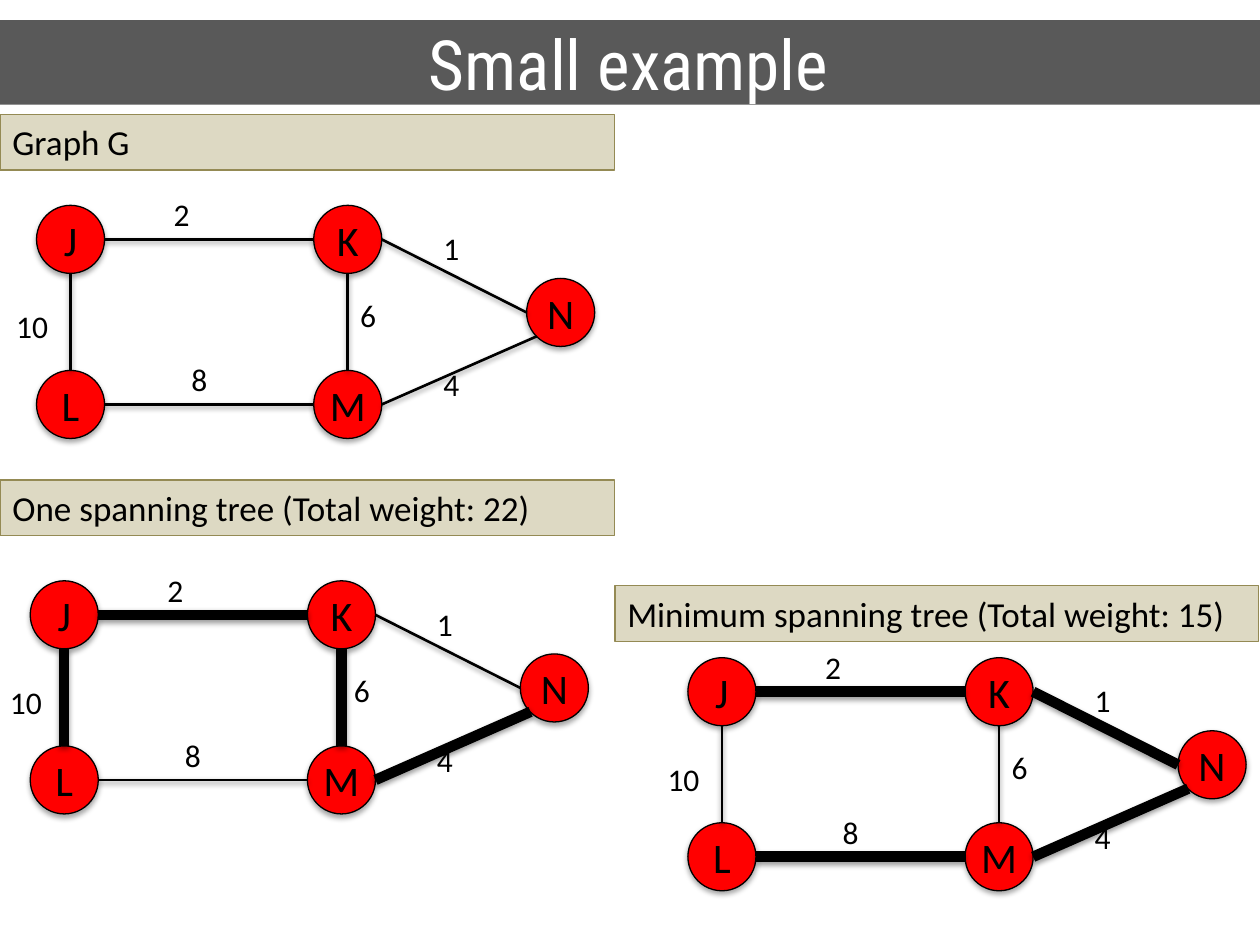
from pptx import Presentation
from pptx.dml.color import RGBColor
from pptx.enum import shapes, text
from pptx.oxml import parse_xml
from pptx.oxml.ns import nsdecls
from pptx.util import Inches, Pt

BLACK = RGBColor(0x00, 0x00, 0x00)
WHITE = RGBColor(0xFF, 0xFF, 0xFF)
GREY = RGBColor(0x59, 0x59, 0x59)
RED = RGBColor(0xFF, 0x00, 0x00)
TAN = RGBColor(0xDD, 0xD9, 0xC3)
OLIVE = RGBColor(0x94, 0x8A, 0x54)

NODE_SIZE = 0.54
# Positions are relative to the top left corner of node J.
NODES = {"M": (2.2, 1.31), "K": (2.2, 0), "L": (0, 1.31), "J": (0, 0), "N": (3.89, 0.58)}
# Points on a node, as fractions of its size.
SIDES = {"top": (0.5, 0), "left": (0, 0.5), "bottom": (0.5, 1), "right": (1, 0.5),
         "lower left": (0.15, 0.85)}
# Edge: start node and side, end node and side.
EDGES = {
    "JK": ("J", "right", "K", "left"),
    "KM": ("K", "bottom", "M", "top"),
    "ML": ("M", "left", "L", "right"),
    "LJ": ("L", "top", "J", "bottom"),
    "NK": ("N", "left", "K", "right"),
    "MN": ("M", "right", "N", "lower left"),
}
# Weight: left, top, width.
WEIGHTS = {
    "2": (0.99, -0.13, 0.33),
    "10": (-0.26, 0.76, 0.46),
    "8": (1.13, 1.18, 0.33),
    "6": (2.47, 0.67, 0.33),
    "4": (3.13, 1.22, 0.33),
    "1": (3.13, 0.14, 0.33),
}


def add_shadow(shape, opacity, distance):
    """Add a soft shadow below; call after fill and line are set."""
    shape._element.spPr.append(parse_xml(
        f'<a:effectLst {nsdecls("a")}><a:outerShdw blurRad="{Pt(3.1)}" dist="{Pt(distance)}" '
        f'dir="5400000" rotWithShape="0"><a:srgbClr val="{BLACK}">'
        f'<a:alpha val="{opacity * 1000}"/></a:srgbClr></a:outerShdw></a:effectLst>'))


class GraphSlide:
    font = "Calibri"
    title_font = "Roboto Condensed"

    def __init__(self, presentation):
        self.slide = presentation.slides.add_slide(presentation.slide_layouts[5])

    def set_text(self, shape, words, size, alignment, anchor, color=BLACK, font=None):
        frame = shape.text_frame
        frame.text = words
        frame.vertical_anchor = anchor
        paragraph = frame.paragraphs[0]
        paragraph.alignment = alignment
        run_font = paragraph.runs[0].font
        run_font.name = font or self.font
        run_font.size = Pt(size)
        run_font.color.rgb = color

    def title(self, words):
        title = self.slide.shapes.title
        title.left, title.top = Inches(-0.02), Inches(0.16)
        title.width, title.height = Inches(10.02), Inches(0.67)
        title.fill.solid()
        title.fill.fore_color.rgb = GREY
        self.set_text(title, words, 39.6, text.PP_ALIGN.CENTER, text.MSO_ANCHOR.MIDDLE,
                      WHITE, self.title_font)
        title.text_frame.auto_size = text.MSO_AUTO_SIZE.NONE

    def filled_shape(self, parent, kind, box, fill, line):
        shape = parent.shapes.add_shape(kind, *map(Inches, box))
        shape.fill.solid()
        shape.fill.fore_color.rgb = fill
        shape.line.color.rgb = line
        shape.line.width = Pt(0.75)
        return shape

    def banner(self, words, left, top, width):
        banner = self.filled_shape(self.slide, shapes.MSO_SHAPE.RECTANGLE,
                                   (left, top, width, 0.44), TAN, OLIVE)
        banner.shadow.inherit = False
        self.set_text(banner, words, 20, text.PP_ALIGN.LEFT, text.MSO_ANCHOR.TOP)
        banner.text_frame.word_wrap = True
        banner.text_frame.auto_size = text.MSO_AUTO_SIZE.SHAPE_TO_FIT_TEXT

    def node(self, group, name, left, top):
        node = self.filled_shape(group, shapes.MSO_SHAPE.OVAL,
                                 (left, top, NODE_SIZE, NODE_SIZE), RED, BLACK)
        add_shadow(node, 35, 1.8)
        self.set_text(node, name, 24, text.PP_ALIGN.CENTER, text.MSO_ANCHOR.MIDDLE)
        frame = node.text_frame
        frame.margin_left = frame.margin_right = Inches(0.04)
        frame.margin_top = frame.margin_bottom = Inches(0.05)

    def edge(self, group, start, end, width):
        edge = group.shapes.add_connector(shapes.MSO_CONNECTOR.STRAIGHT,
                                          *map(Inches, start + end))
        edge.line.color.rgb = BLACK
        edge.line.width = Pt(width)
        add_shadow(edge, 38, 1.6)

    def weight(self, group, words, left, top, width):
        box = group.shapes.add_textbox(*map(Inches, (left, top, width, 0.4)))
        self.set_text(box, words, 18, text.PP_ALIGN.LEFT, text.MSO_ANCHOR.TOP)
        box.text_frame.word_wrap = False
        box.text_frame.auto_size = text.MSO_AUTO_SIZE.SHAPE_TO_FIT_TEXT

    def graph(self, left, top, tree=()):
        """Draw the weighted graph with the edges named in tree made thick."""
        group = self.slide.shapes.add_group_shape()

        def point(node, side):
            (x, y), (across, down) = NODES[node], SIDES[side]
            return left + x + across * NODE_SIZE, top + y + down * NODE_SIZE

        for name, (x, y) in NODES.items():
            self.node(group, name, left + x, top + y)
        for name, (start, start_side, end, end_side) in EDGES.items():
            self.edge(group, point(start, start_side), point(end, end_side),
                      6 if name in tree else 1.5)
        for words, (x, y, width) in WEIGHTS.items():
            self.weight(group, words, left + x, top + y, width)


def main():
    presentation = Presentation()
    presentation.slide_width, presentation.slide_height = Inches(10), Inches(7.5)
    slide = GraphSlide(presentation)
    slide.title("Small example")
    slide.graph(0.29, 1.63)
    slide.banner("Graph G", 0, 0.91, 4.88)
    slide.graph(0.24, 4.61, tree=("JK", "KM", "LJ", "MN"))
    slide.graph(5.46, 5.22, tree=("JK", "ML", "NK", "MN"))
    slide.banner("One spanning tree (Total weight: 22)", 0, 3.81, 4.88)
    slide.banner("Minimum spanning tree (Total weight: 15)", 4.88, 4.65, 5.11)
    presentation.save("out.pptx")


if __name__ == "__main__":
    main()
